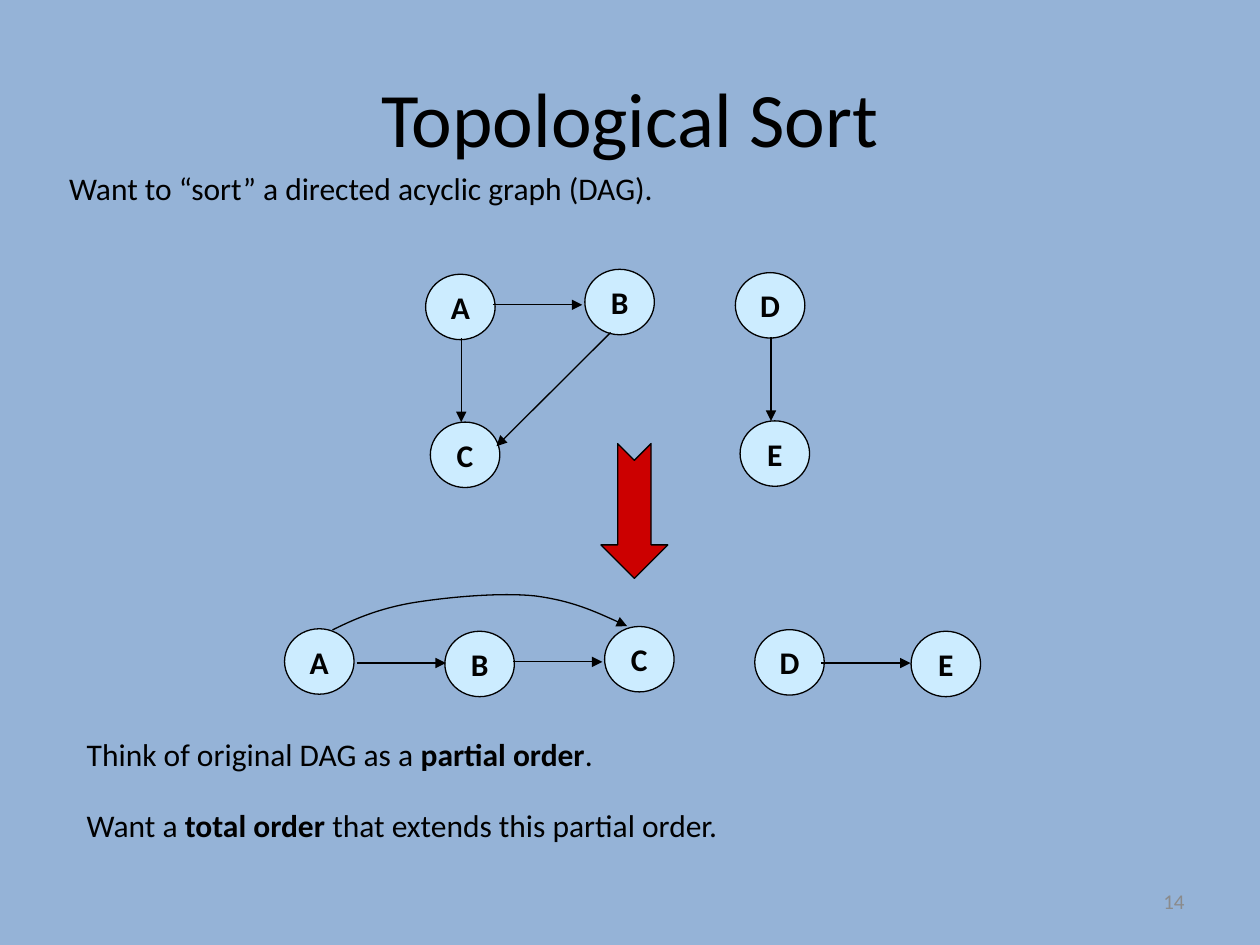
import dataclasses
import pptx
import pptx.util
import pptx.dml.color
import pptx.enum.shapes
import pptx.enum.text
import pptx.oxml
import pptx.oxml.ns
from lxml import etree

Pt = pptx.util.Pt
RGB = pptx.dml.color.RGBColor.from_string
Shape = pptx.enum.shapes.MSO_SHAPE
Align = pptx.enum.text.PP_ALIGN
Anchor = pptx.enum.text.MSO_ANCHOR
qn = pptx.oxml.ns.qn


@dataclasses.dataclass(frozen=True)
class Theme:
    font: str = "Calibri"
    back: str = "95B3D7"
    ink: str = "000000"
    node: str = "CCECFF"
    arrow: str = "CC0000"
    muted: str = "8B8B8B"
    title: int = 44
    body: int = 18
    small: int = 12
    line: float = 0.75


THEME = Theme()
NODE_W, NODE_H = 39.7, 37.4

# Node name, left, top
GRAPH = [("A", 243.2, 156.7), ("B", 334.2, 153.9), ("C", 245.9, 241.2),
         ("D", 420.2, 155.8), ("E", 422.9, 240.5)]
ORDER = [("A", 162.6, 359.3), ("B", 254.2, 360.7), ("C", 345.5, 358),
         ("D", 431.3, 359.8), ("E", 520.6, 360.7)]
# Start x, start y, end x, end y
EDGES = [(440.6, 192.5, 440.6, 240.5), (263.6, 193.2, 263.6, 241.2),
         (281.7, 174.2, 332.7, 174.2), (349, 190, 283.7, 255),
         (293.2, 378.2, 344.2, 378.2), (203.8, 378.9, 254.8, 378.9),
         (469.3, 378.9, 520.3, 378.9)]
# Start point, then three points for each Bezier segment
ARC = [(190, 360), (203, 353.5), (216.7, 347.8), (235.6, 344.5),
       (255.2, 341.3), (285.8, 338.4), (306, 340.6),
       (326.9, 343.4), (342.7, 350.6), (358.3, 357.8)]


def write(frame, *lines, size=THEME.body, color=THEME.ink, bold=False,
          align=Align.LEFT, anchor=Anchor.TOP, wrap=False, gap=0):
    """Fill a text frame; a line is a list of runs, odd ones emphasised."""
    frame.word_wrap = wrap
    frame.vertical_anchor = anchor
    for i, line in enumerate(lines):
        para = frame.paragraphs[0] if i == 0 else frame.add_paragraph()
        para.alignment = align
        para.space_before = Pt(gap if i else 0)
        for j, text in enumerate(line):
            run = para.add_run()
            run.text = text
            run.font.name = THEME.font
            run.font.size = Pt(size)
            run.font.bold = bold or j % 2 == 1
            run.font.color.rgb = RGB(color)


def add_text(slide, box, *lines, **style):
    shape = slide.shapes.add_textbox(*map(Pt, box))
    write(shape.text_frame, *lines, **style)


def stroke(shape, tip=False):
    shape.line.color.rgb = RGB(THEME.ink)
    shape.line.width = Pt(THEME.line)
    if tip:
        etree.SubElement(shape.line._get_or_add_ln(), qn("a:tailEnd"), type="triangle")


def add_shape(slide, kind, box, fill):
    shape = slide.shapes.add_shape(kind, *map(Pt, box))
    shape.shadow.inherit = False
    shape.fill.solid()
    shape.fill.fore_color.rgb = RGB(fill)
    stroke(shape)
    return shape


def add_node(slide, name, left, top):
    shape = add_shape(slide, Shape.OVAL, (left, top, NODE_W, NODE_H), THEME.node)
    write(shape.text_frame, [name], bold=True, align=Align.CENTER, anchor=Anchor.MIDDLE)


def add_edge(slide, ends):
    edge = slide.shapes.add_connector(pptx.enum.shapes.MSO_CONNECTOR.STRAIGHT, *map(Pt, ends))
    stroke(edge, tip=True)
    etree.SubElement(edge._element.spPr, qn("a:effectLst"))


def add_curve(slide, points):
    """Draw a freeform and turn each three of its segments into one Bezier."""
    start, *rest = [(Pt(x), Pt(y)) for x, y in points]
    form = slide.shapes.build_freeform(*start)
    form.add_line_segments(rest, close=False)
    shape = form.convert_to_shape()
    shape.shadow.inherit = False
    shape.fill.background()
    stroke(shape, tip=True)
    steps = list(shape._element.iter(qn("a:lnTo")))
    for i in range(0, len(steps), 3):
        bend = etree.Element(qn("a:cubicBezTo"))
        steps[i].addprevious(bend)
        for step in steps[i:i + 3]:
            bend.append(step[0])
            step.getparent().remove(step)


def add_title(slide, text):
    title = slide.shapes.title
    title.left, title.top, title.width, title.height = map(Pt, (36, 21.6, 648, 90))
    write(title.text_frame, [text], size=THEME.title, align=Align.CENTER,
          anchor=Anchor.MIDDLE, wrap=True)


def main():
    deck = pptx.Presentation()
    deck.slide_width, deck.slide_height = Pt(720), Pt(540)
    slide = deck.slides.add_slide(deck.slide_layouts[5])
    slide.background.fill.solid()
    slide.background.fill.fore_color.rgb = RGB(THEME.back)

    add_title(slide, "Topological Sort")
    add_text(slide, (32.4, 92.9, 352, 29),
             ["Want to “sort” a directed acyclic graph (DAG)."])
    for node in GRAPH + ORDER:
        add_node(slide, *node)
    for ends in EDGES:
        add_edge(slide, ends)
    add_curve(slide, ARC)

    arrow = add_shape(slide, Shape.NOTCHED_RIGHT_ARROW, (324, 272.9, 77, 38.2), THEME.arrow)
    arrow.rotation = 90

    add_text(slide, (42.5, 416.2, 378.7, 70.6),
             ["Think of original DAG as a ", "partial order", "."],
             ["Want a ", "total order", " that extends this partial order."], gap=19)
    add_text(slide, (516, 500.5, 168, 28.75), ["14"], size=THEME.small, color=THEME.muted,
             align=Align.RIGHT, anchor=Anchor.MIDDLE, wrap=True)
    deck.save("out.pptx")


if __name__ == "__main__":
    main()
